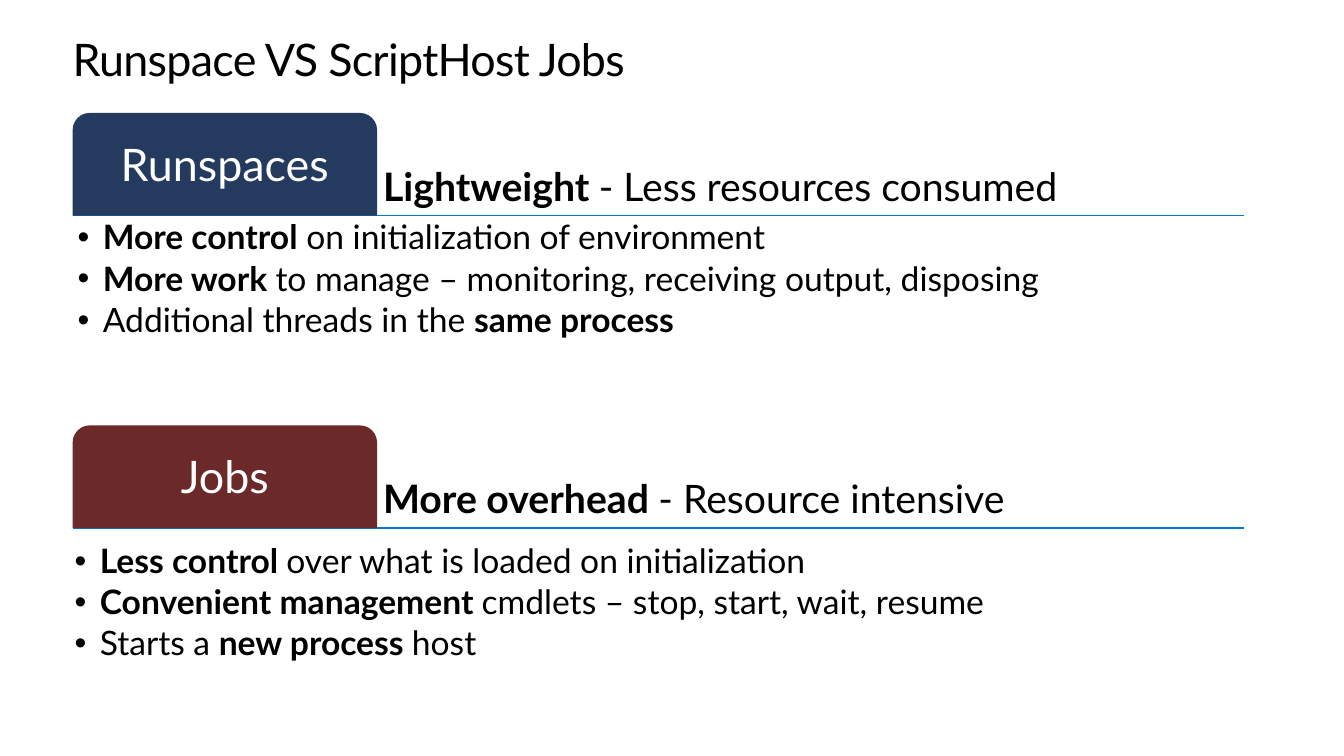
from lxml.etree import SubElement as SubEl
from pptx import Presentation
from pptx.dml.color import RGBColor as RGB
from pptx.enum.shapes import MSO_CONNECTOR as LINK, MSO_SHAPE as SHAPE
from pptx.enum.text import MSO_ANCHOR as ANCHOR, MSO_AUTO_SIZE as FIT, PP_ALIGN as ALIGN
from pptx.oxml.ns import qn
from pptx.util import Inches, Pt

FONT = "Lato"
COLORS = {"text": "000000", "white": "FFFFFF", "rule": "0078D4",
          "navy": "243A5E", "red": "6B2929"}

# Shared grid, in inches
LEFT, WIDE = 0.72, 11.62
TAB_W, TAB_H = 3.02, 1.02

# Tab label, colour, top, headline, bullets, bullet insets (side, top)
PARTS = [
    ("Runspaces", "navy", 1.12, "**Lightweight **- Less resources consumed",
     ["**More control** on initialization of environment",
      "**More work **to manage – monitoring, receiving output, disposing",
      "Additional threads in the **same process**"], (0.05, 0.05)),
    ("Jobs", "red", 4.22, "**More overhead **- Resource intensive",
     ["**Less control **over what is loaded on initialization",
      "**Convenient management **cmdlets – stop, start, wait, resume",
      "Starts a **new process **host"], (0.02, 0.16)),
]


def color(name):
    return RGB.from_string(COLORS[name])


def place(shape, x, y, w, h):
    shape.left, shape.top = Inches(x), Inches(y)
    shape.width, shape.height = Inches(w), Inches(h)


def set_frame(frame, side, top, anchor):
    frame.word_wrap = True
    frame.auto_size = FIT.NONE
    frame.vertical_anchor = anchor
    frame.margin_left = frame.margin_right = frame.margin_bottom = Inches(side)
    frame.margin_top = Inches(top)


def write(para, text, size, ink="text", align=ALIGN.LEFT, lead=0.9, after=0):
    """Fill a paragraph; text between double stars is bold."""
    for i, part in enumerate(text.split("**")):
        if not part:
            continue
        run = para.add_run()
        run.text = part
        font = run.font
        font.name, font.size, font.bold = FONT, Pt(size), i % 2 == 1
        font.color.rgb = color(ink)
    para.alignment = align
    para.line_spacing = lead
    para.space_before, para.space_after = Pt(0), Pt(after)


def add_bullet(para):
    props = para._p.get_or_add_pPr()
    props.set("marL", str(Inches(0.25)))
    props.set("indent", str(-Inches(0.25)))
    SubEl(props, qn("a:buFont"), typeface="Arial")
    SubEl(props, qn("a:buChar"), char="•")


def set_title(title, text):
    place(title, LEFT, 0.35, 11.9, 0.5)
    set_frame(title.text_frame, 0, 0, ANCHOR.TOP)
    para = title.text_frame.paragraphs[0]
    write(para, text, 32, lead=Pt(36.2))
    for run in para.runs:
        run.font._element.set("spc", "-50")


def add_rule(slide, y):
    rule = slide.shapes.add_connector(
        LINK.STRAIGHT, Inches(LEFT), Inches(y), Inches(LEFT + WIDE), Inches(y))
    rule.line.color.rgb = color("rule")
    rule.line.width = Pt(1)
    SubEl(rule._element.spPr, qn("a:effectLst"))


def add_tab(slide, text, fill, y):
    tab = slide.shapes.add_shape(SHAPE.ROUND_2_SAME_RECTANGLE, 0, 0, 0, 0)
    place(tab, LEFT, y, TAB_W, TAB_H)
    tab.adjustments[0], tab.adjustments[1] = 0.167, 0
    tab.shadow.inherit = False
    tab.fill.solid()
    tab.fill.fore_color.rgb = color(fill)
    tab.line.fill.background()
    set_frame(tab.text_frame, 0.12, 0.12, ANCHOR.MIDDLE)
    write(tab.text_frame.paragraphs[0], text, 32, "white", ALIGN.CENTER)


def add_head(slide, text, y):
    box = slide.shapes.add_textbox(0, 0, 0, 0)
    place(box, LEFT + TAB_W, y, WIDE - TAB_W, TAB_H)
    set_frame(box.text_frame, 0.06, 0.06, ANCHOR.BOTTOM)
    write(box.text_frame.paragraphs[0], text, 28)


def set_list(body, items, y, side, top):
    place(body, LEFT, y, WIDE, 2.03)
    frame = body.text_frame
    set_frame(frame, side, top, ANCHOR.TOP)
    for i, item in enumerate(items):
        para = frame.add_paragraph() if i else frame.paragraphs[0]
        write(para, item, 24, after=3.6)
        add_bullet(para)


def main():
    deck = Presentation()
    deck.slide_width, deck.slide_height = Inches(13.33), Inches(7.5)
    # Layout with a title and two lists
    slide = deck.slides.add_slide(deck.slide_layouts[3])
    set_title(slide.shapes.title, "Runspace VS ScriptHost Jobs")

    # One tab, headline, rule and list per part
    for i, (label, fill, y, head, items, pads) in enumerate(PARTS, 1):
        base = y + TAB_H
        add_rule(slide, base)
        add_tab(slide, label, fill, y)
        add_head(slide, head, y)
        set_list(slide.placeholders[i], items, base, *pads)
    deck.save("out.pptx")


if __name__ == "__main__":
    main()
